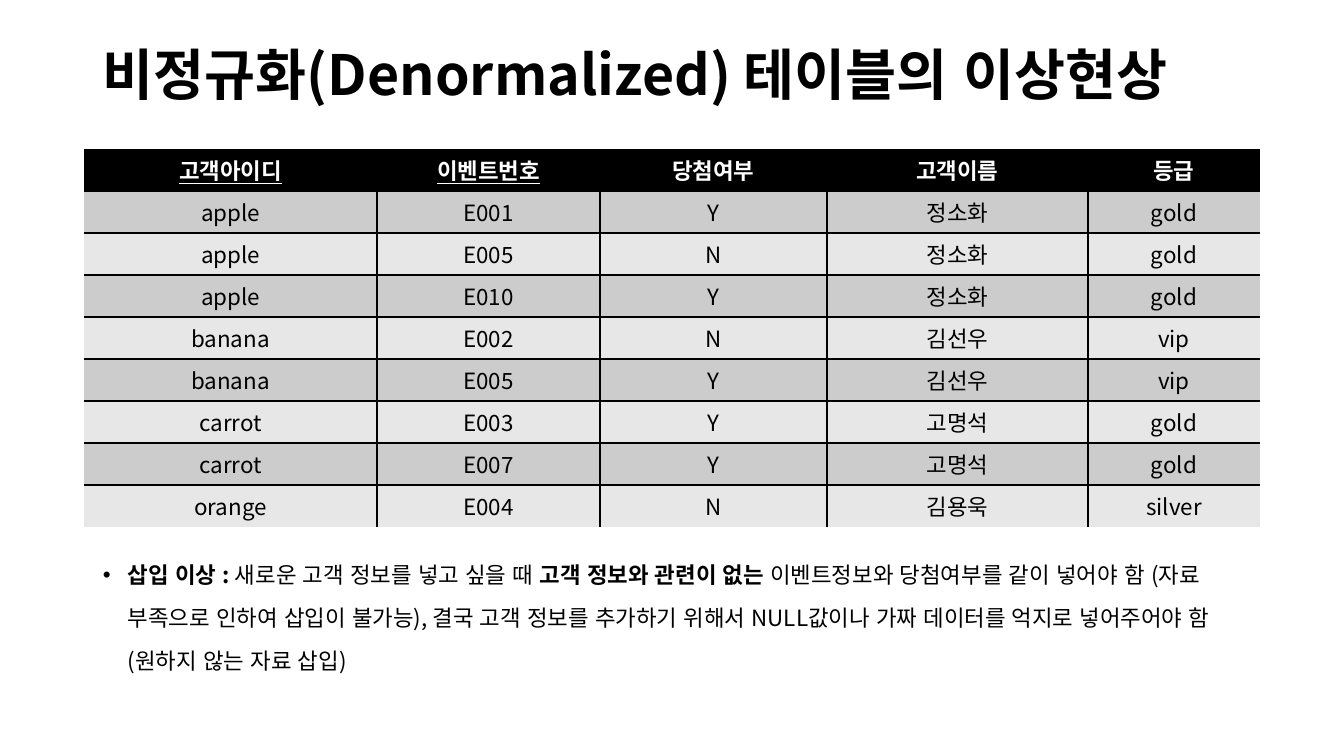
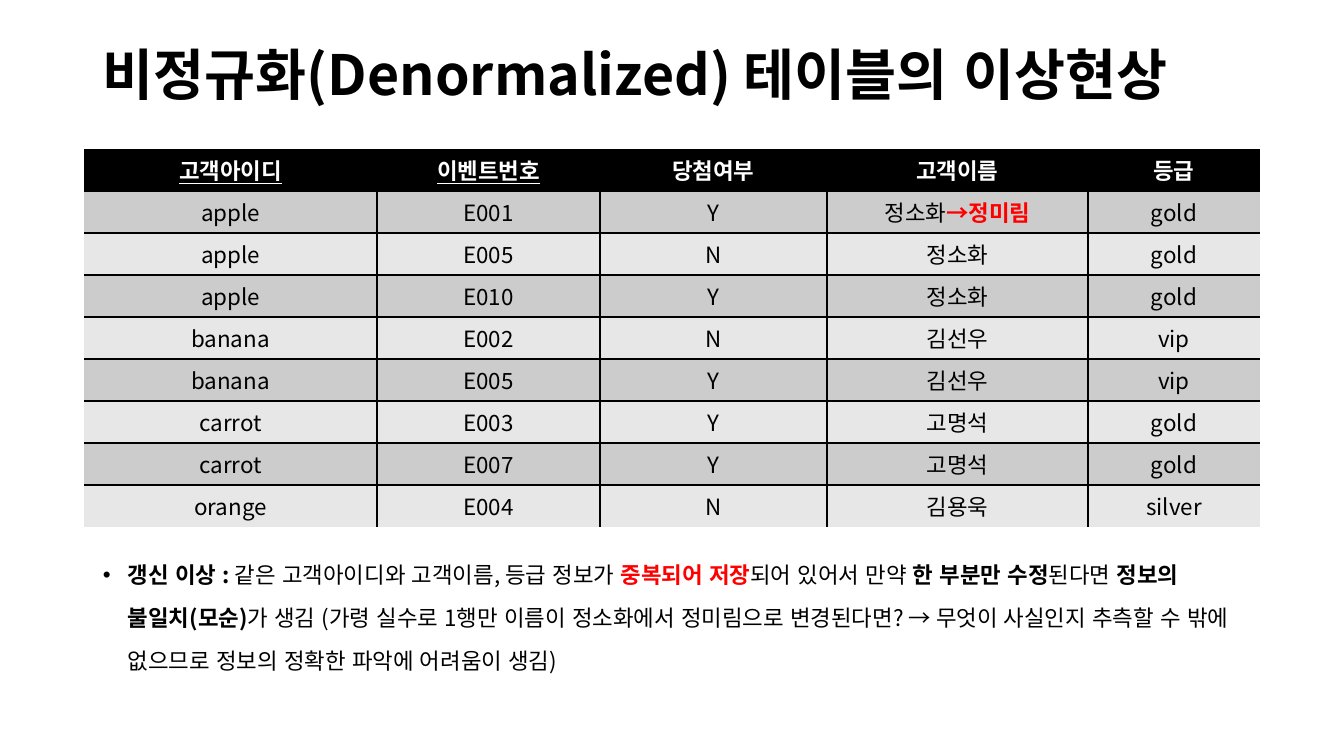
from collections import namedtuple

from lxml.etree import SubElement
from pptx import Presentation
from pptx.dml.color import RGBColor
from pptx.enum.lang import MSO_LANGUAGE_ID
from pptx.enum.text import MSO_ANCHOR, PP_ALIGN
from pptx.oxml.ns import qn
from pptx.util import Emu, Pt

# Shared style and layout
PIXELS_PER_INCH = 100.8
FONT = "Noto Sans CJK KR"
TITLE_SIZE, TEXT_SIZE = 39.6, 16
COLORS = {
    "text": "000000",
    "header": "000000",
    "header_text": "FFFFFF",
    "border": "000000",
    "odd_row": "CCCCCC",
    "even_row": "E7E7E7",
    "alert": "FF0000",
}

Box = namedtuple("Box", "left top width height")
Run = namedtuple("Run", "text bold color underline", defaults=(False, "text", False))

SLIDE_WIDTH, SLIDE_HEIGHT = 1344, 756
TITLE_BOX = Box(93, 40, 1159, 74)
TABLE_BOX = Box(84, 149, 1176, 378)
BODY_BOX = Box(93, 540, 1159, 140)
COLUMN_WIDTHS = (293, 223, 227, 261, 172)
BULLET_INDENT = 25

# Content
TITLE = "비정규화(Denormalized) 테이블의 이상현상"
HEADERS = ("고객아이디", "이벤트번호", "당첨여부", "고객이름", "등급")
KEY_COLUMNS = 2
RECORDS = (
    ("apple", "E001", "Y", "정소화", "gold"),
    ("apple", "E005", "N", "정소화", "gold"),
    ("apple", "E010", "Y", "정소화", "gold"),
    ("banana", "E002", "N", "김선우", "vip"),
    ("banana", "E005", "Y", "김선우", "vip"),
    ("carrot", "E003", "Y", "고명석", "gold"),
    ("carrot", "E007", "Y", "고명석", "gold"),
    ("orange", "E004", "N", "김용욱", "silver"),
)
INSERTION_ANOMALY = (
    Run("삽입 이상 : ", True),
    Run("새로운 고객 정보를 넣고 싶을 때 "),
    Run("고객 정보와 관련이 없는", True),
    Run(" 이벤트정보와 당첨여부를 같이 넣어야 함 (자료 부족으로 인하여 삽입이 불가능), "
        "결국 고객 정보를 추가하기 위해서 NULL값이나 가짜 데이터를 억지로 넣어주어야 함 "
        "(원하지 않는 자료 삽입)"),
)
UPDATE_ANOMALY = (
    Run("갱신 이상 : ", True),
    Run("같은 고객아이디와 고객이름, 등급 정보가 "),
    Run("중복되어 저장", True, "alert"),
    Run("되어 있어서 만약 "),
    Run("한 부분만 수정", True),
    Run("된다면 "),
    Run("정보의 불일치(모순)", True),
    Run("가 생김 (가령 실수로 1행만 이름이 정소화에서 정미림으로 변경된다면? → "
        "무엇이 사실인지 추측할 수 밖에 없으므로 정보의 정확한 파악에 어려움이 생김)"),
)
# Text added to a cell, keyed by (row, column)
UPDATED_CELLS = {(1, 3): Run("→정미림", True, "alert")}


def px(length):
    return Emu(round(length * 914400 / PIXELS_PER_INCH))


def color(name):
    return RGBColor.from_string(COLORS[name])


def add_runs(paragraph, runs, size=TEXT_SIZE):
    for item in runs:
        run = paragraph.add_run()
        run.text = item.text
        font = run.font
        font.name = FONT
        font.size = Pt(size)
        font.bold = item.bold
        font.underline = item.underline
        font.color.rgb = color(item.color)
        font.language_id = MSO_LANGUAGE_ID.KOREAN
        properties = run._r.get_or_add_rPr()
        SubElement(properties, qn("a:ea"), typeface=FONT)


def add_text_frame(slide, box):
    frame = slide.shapes.add_textbox(*map(px, box)).text_frame
    frame.word_wrap = True
    return frame


def add_title(slide, box):
    frame = add_text_frame(slide, box)
    frame.vertical_anchor = MSO_ANCHOR.MIDDLE
    paragraph = frame.paragraphs[0]
    paragraph.line_spacing = 0.9
    add_runs(paragraph, [Run(TITLE, True)], TITLE_SIZE)


def add_body(slide, box, runs):
    paragraph = add_text_frame(slide, box).paragraphs[0]
    paragraph.line_spacing = 1.6
    paragraph.space_before = Pt(10)
    # Hanging bullet
    properties = paragraph._p.get_or_add_pPr()
    properties.set("marL", str(px(BULLET_INDENT)))
    properties.set("indent", str(-px(BULLET_INDENT)))
    SubElement(properties, qn("a:buFont"), typeface="Arial")
    SubElement(properties, qn("a:buChar"), char="•")
    add_runs(paragraph, runs)


def set_borders(cell, visible_sides):
    properties = cell._tc.get_or_add_tcPr()
    for side in ("L", "R", "T", "B"):
        line = SubElement(properties, qn(f"a:ln{side}"), w=str(Pt(1)))
        if side in visible_sides:
            fill = SubElement(line, qn("a:solidFill"))
            SubElement(fill, qn("a:srgbClr"), val=COLORS["border"])
        else:
            SubElement(line, qn("a:noFill"))


def cell_runs(row, column, additions):
    if row == 0:
        return [Run(HEADERS[column], True, "header_text", column < KEY_COLUMNS)]
    runs = [Run(RECORDS[row - 1][column])]
    if (row, column) in additions:
        runs.append(additions[row, column])
    return runs


def add_record_table(slide, box, additions):
    row_count, column_count = len(RECORDS) + 1, len(HEADERS)
    table = slide.shapes.add_table(row_count, column_count, *map(px, box)).table
    for column, width in zip(table.columns, COLUMN_WIDTHS):
        column.width = px(width)
    for row in range(row_count):
        fill_name = "header" if row == 0 else "odd_row" if row % 2 else "even_row"
        for column in range(column_count):
            cell = table.cell(row, column)
            # Only inner edges carry a line
            inner_edges = {
                "L": column > 0,
                "R": column < column_count - 1,
                "T": row > 0,
                "B": row < row_count - 1,
            }
            set_borders(cell, [side for side, inner in inner_edges.items() if inner])
            cell.fill.solid()
            cell.fill.fore_color.rgb = color(fill_name)
            paragraph = cell.text_frame.paragraphs[0]
            paragraph.alignment = PP_ALIGN.CENTER
            add_runs(paragraph, cell_runs(row, column, additions))


def add_anomaly_slide(presentation, explanation, additions):
    slide = presentation.slides.add_slide(presentation.slide_layouts[6])
    add_title(slide, TITLE_BOX)
    add_record_table(slide, TABLE_BOX, additions)
    add_body(slide, BODY_BOX, explanation)


def main():
    presentation = Presentation()
    presentation.slide_width = px(SLIDE_WIDTH)
    presentation.slide_height = px(SLIDE_HEIGHT)
    add_anomaly_slide(presentation, INSERTION_ANOMALY, {})
    add_anomaly_slide(presentation, UPDATE_ANOMALY, UPDATED_CELLS)
    presentation.save("out.pptx")


if __name__ == "__main__":
    main()
